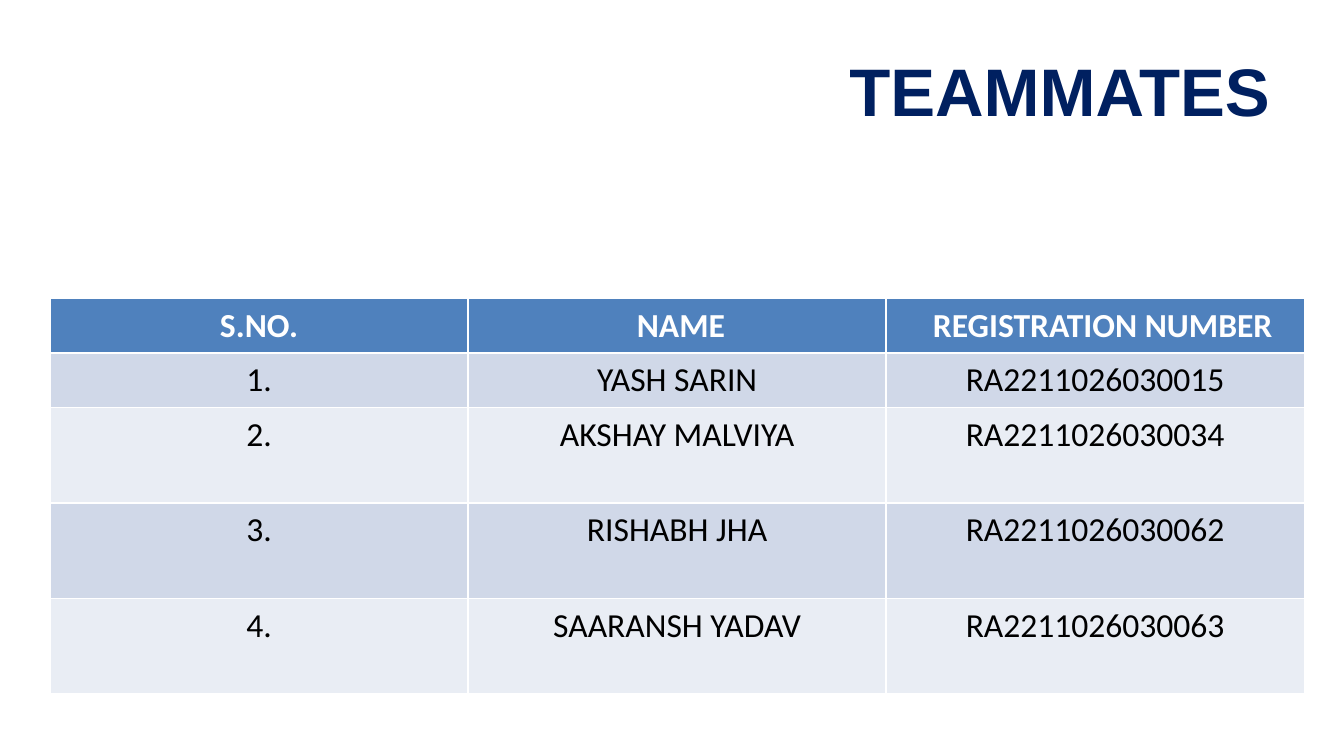
from pptx import Presentation
from pptx.dml.color import RGBColor
from pptx.enum import text as t
from pptx.util import Pt

TITLE = "TEAMMATES"
HEADER = ["S.NO.", "NAME", "REGISTRATION NUMBER"]
HEADER_INDENTS = [0, 4, 8]
TEAM = [
    ("1.", "YASH SARIN", "RA2211026030015"),
    ("2.", "AKSHAY MALVIYA", "RA2211026030034"),
    ("3.", "RISHABH JHA", "RA2211026030062"),
    ("4.", "SAARANSH YADAV", "RA2211026030063"),
]
ROW_HEIGHTS = [29.2, 29.2, 51.1, 51.1, 51.1]
LEFT, TOP, COLUMN_WIDTH = 26.8, 160, 224
HEADER_FILL, BANDS = "4F81BD", ("D0D8E8", "E9EDF4")


def color(value):
    return RGBColor.from_string(value)


def write(frame, content, size=18, font="Calibri", fill="000000", bold=False,
          align=t.PP_ALIGN.CENTER):
    paragraph = frame.paragraphs[0]
    paragraph.alignment = align
    run = paragraph.add_run()
    run.text = content
    run.font.size = Pt(size)
    run.font.name = font
    run.font.bold = bold
    run.font.color.rgb = color(fill)


def add_title(slide):
    frame = slide.shapes.add_textbox(Pt(37.4), Pt(18), Pt(650), Pt(60.5)).text_frame
    frame.word_wrap = True
    frame.vertical_anchor = t.MSO_ANCHOR.MIDDLE
    write(frame, TITLE, size=36, font="Arial", fill="002060", bold=True,
          align=t.PP_ALIGN.RIGHT)


def add_team_table(slide):
    rows = [HEADER, *TEAM]
    table = slide.shapes.add_table(
        len(rows), len(HEADER), Pt(LEFT), Pt(TOP),
        Pt(COLUMN_WIDTH * len(HEADER)), Pt(sum(ROW_HEIGHTS))).table
    for column in table.columns:
        column.width = Pt(COLUMN_WIDTH)
    for r, (entries, height) in enumerate(zip(rows, ROW_HEIGHTS)):
        table.rows[r].height = Pt(height)
        is_header = r == 0
        for c, entry in enumerate(entries):
            cell = table.cell(r, c)
            cell.fill.solid()
            cell.fill.fore_color.rgb = color(HEADER_FILL if is_header else BANDS[(r - 1) % 2])
            if is_header:
                cell.margin_left = Pt(7.2 + HEADER_INDENTS[c])
            write(cell.text_frame, entry, bold=is_header,
                  fill="FFFFFF" if is_header else "000000")


def main():
    deck = Presentation()
    deck.slide_width, deck.slide_height = Pt(720), Pt(405)
    slide = deck.slides.add_slide(deck.slide_layouts[6])
    add_title(slide)
    add_team_table(slide)
    deck.save("out.pptx")


if __name__ == "__main__":
    main()
